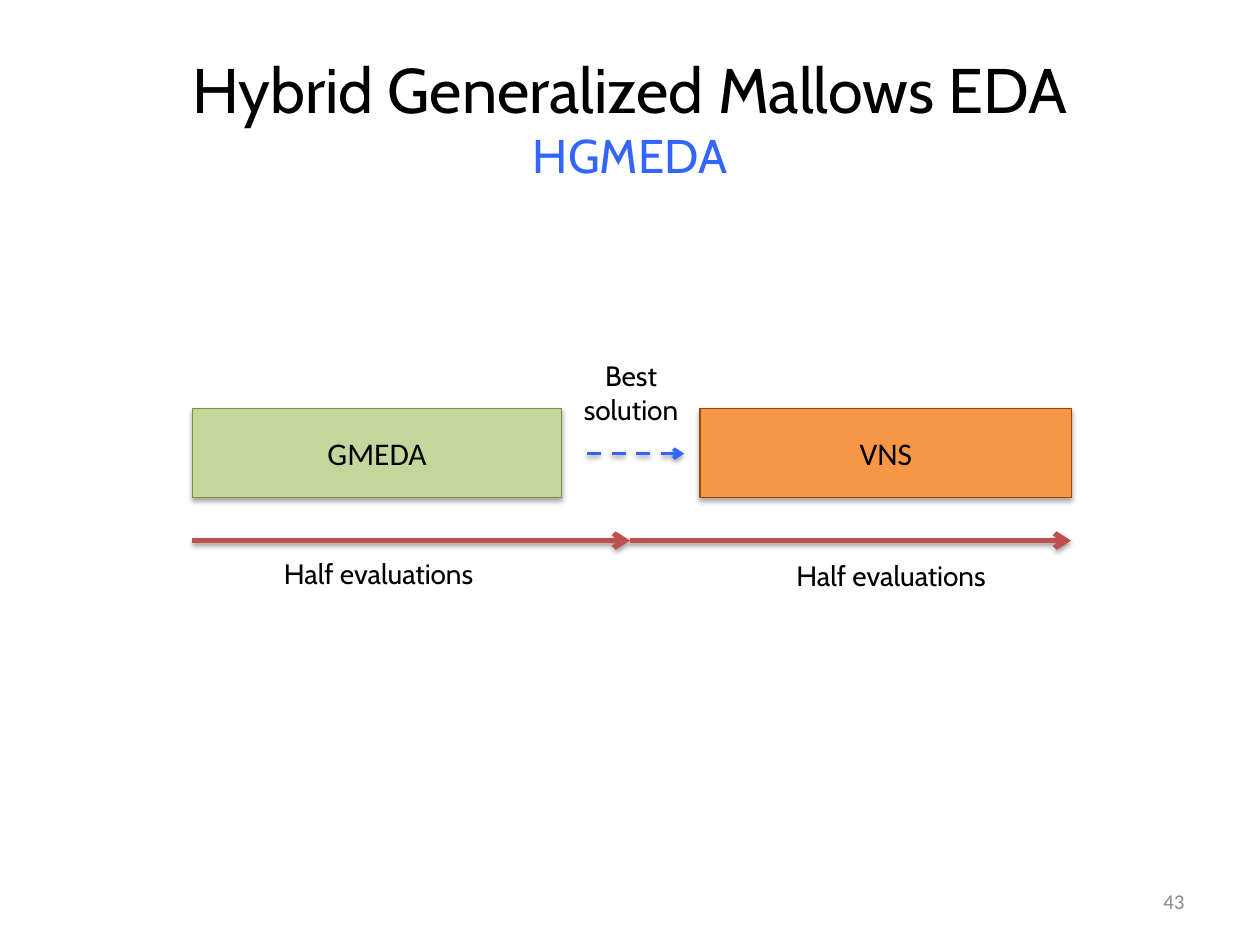
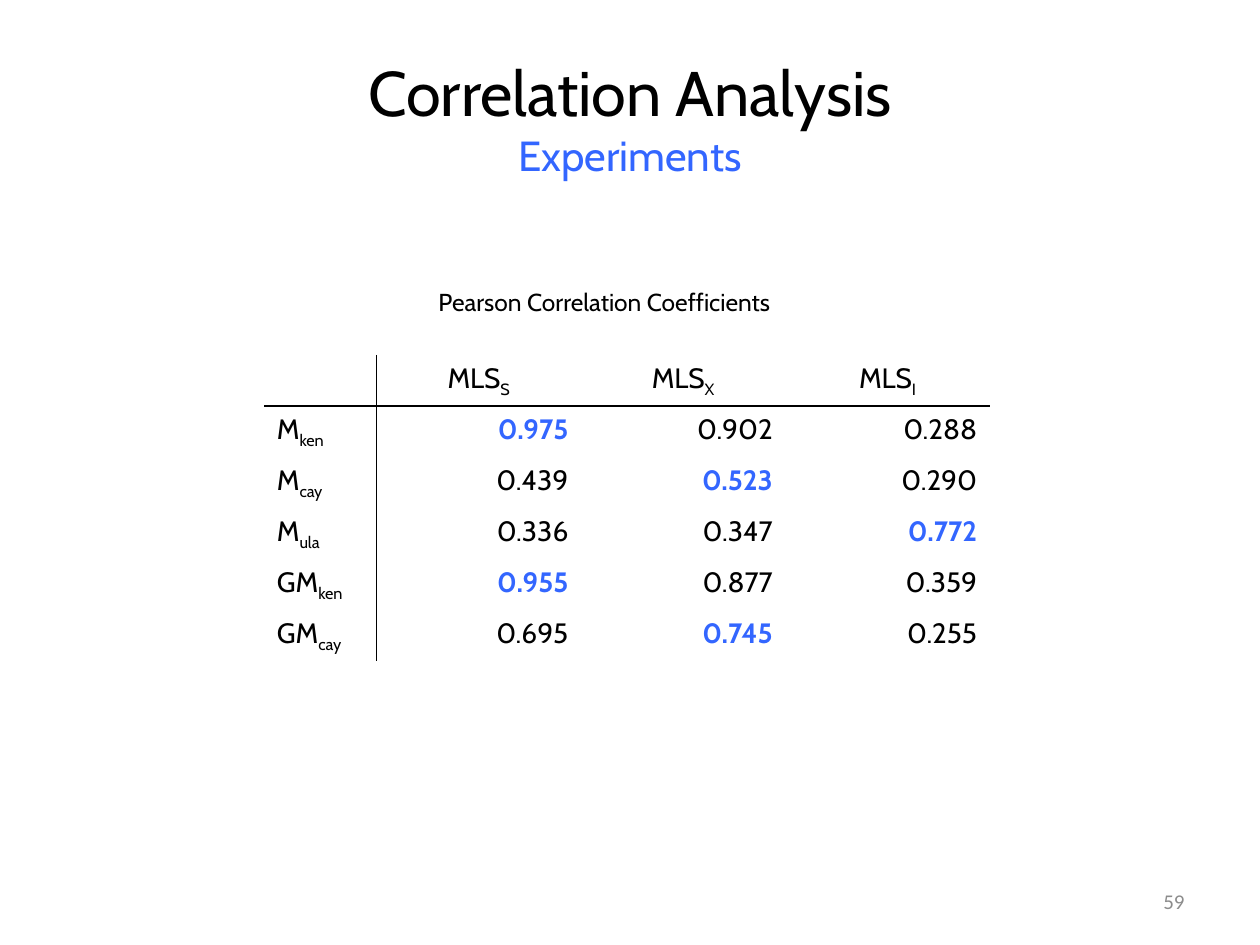
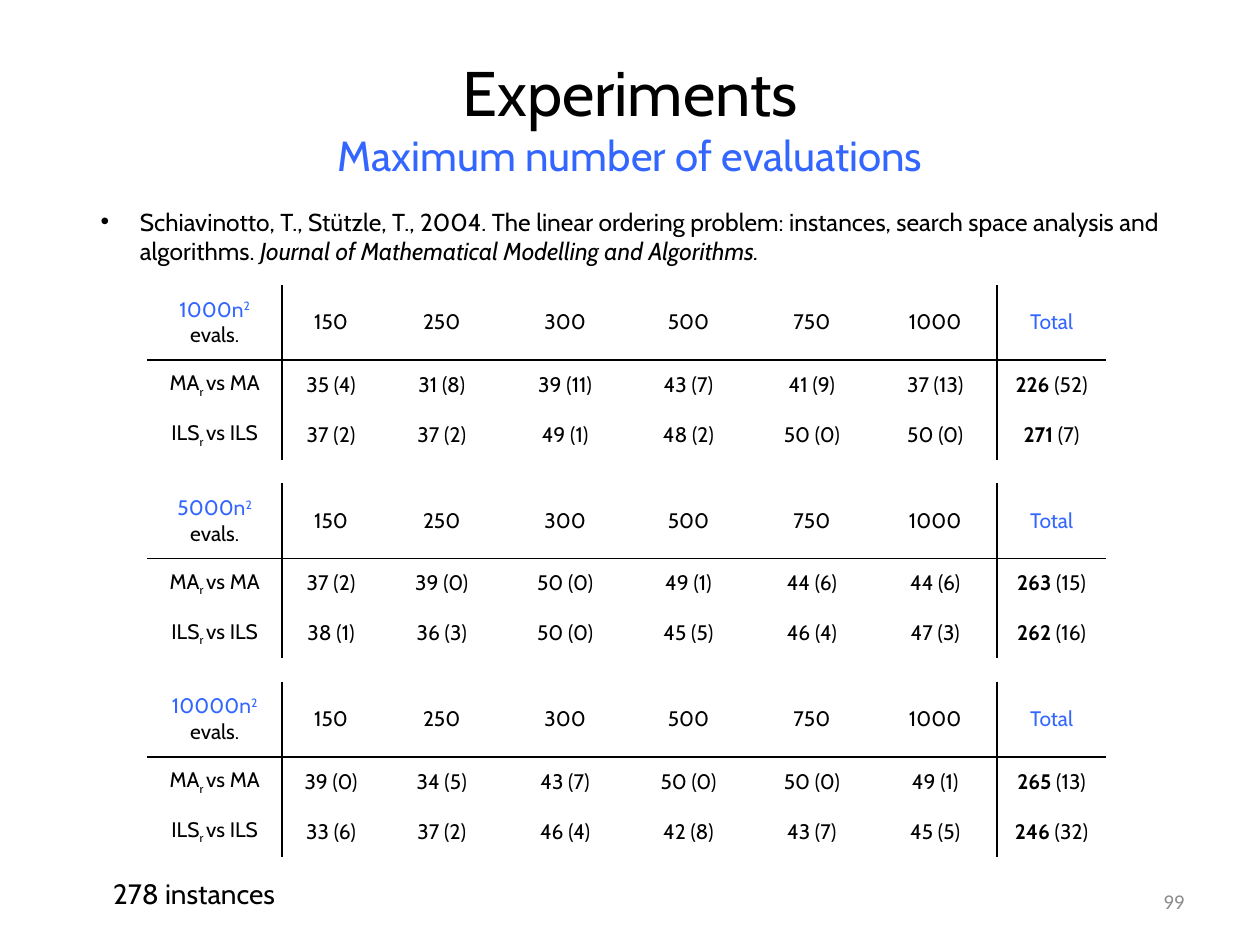
from dataclasses import dataclass

from lxml.etree import SubElement
from pptx import Presentation
from pptx.dml.color import RGBColor
from pptx.enum.dml import MSO_LINE
from pptx.enum.shapes import MSO_CONNECTOR, MSO_SHAPE
from pptx.enum.text import MSO_ANCHOR, PP_ALIGN
from pptx.oxml.ns import qn
from pptx.util import Pt

LEFT, MID, RIGHT = PP_ALIGN.LEFT, PP_ALIGN.CENTER, PP_ALIGN.RIGHT


@dataclass(frozen=True)
class Theme:
    font: str = "Cabin"
    plain: str = "Calibri"
    ink: str = "000000"
    blue: str = "3366FF"
    gray: str = "8C8C8C"
    red: str = "C0504D"
    green: str = "C3D69B"
    moss: str = "77933C"
    orange: str = "F79646"
    brown: str = "984807"
    title: float = 36
    sub: float = 24
    label: float = 18
    body: float = 16
    note: float = 14
    small: float = 12


T = Theme()


def put(par, text, size=T.body, color=T.ink, font=T.font, bold=False, slant=False, base=0):
    run = par.add_run()
    run.text = text
    run.font.size = Pt(size)
    run.font.name = font
    run.font.bold = bold
    run.font.italic = slant
    run.font.color.rgb = RGBColor.from_string(color)
    if base:
        run.font._element.set("baseline", str(base * 1000))


class Deck:
    def __init__(self):
        self.file = Presentation()
        self.file.slide_width, self.file.slide_height = Pt(720), Pt(540)

    def start(self, head, sub, page, size=T.sub):
        self.slide = self.file.slides.add_slide(self.file.slide_layouts[6])
        par = self.box(36, 21.6, 648, 90, MID, MSO_ANCHOR.MIDDLE)
        put(par, head, size=T.title)
        par.add_line_break()
        put(par, sub, size=size, color=T.blue)
        par = self.box(516, 500.5, 168, 28.75, RIGHT, MSO_ANCHOR.MIDDLE)
        put(par, str(page), size=T.small, color=T.gray, font=T.plain)

    def box(self, x, y, w, h, side=LEFT, anchor=MSO_ANCHOR.TOP):
        frame = self.slide.shapes.add_textbox(Pt(x), Pt(y), Pt(w), Pt(h)).text_frame
        frame.word_wrap = True
        frame.vertical_anchor = anchor
        par = frame.paragraphs[0]
        par.alignment = side
        return par

    def shade(self, shape, alpha, drop):
        glow = SubElement(shape.element.spPr, qn("a:effectLst"))
        cast = SubElement(glow, qn("a:outerShdw"), blurRad=str(Pt(3.1)), dist=str(Pt(drop)),
                          dir="5400000", rotWithShape="0")
        tint = SubElement(cast, qn("a:srgbClr"), val=T.ink)
        SubElement(tint, qn("a:alpha"), val=str(alpha * 1000))

    def block(self, x, y, w, h, text, fill, edge):
        shape = self.slide.shapes.add_shape(MSO_SHAPE.RECTANGLE, Pt(x), Pt(y), Pt(w), Pt(h))
        shape.fill.solid()
        shape.fill.fore_color.rgb = RGBColor.from_string(fill)
        shape.line.color.rgb = RGBColor.from_string(edge)
        shape.line.width = Pt(0.75)
        self.shade(shape, 35, 1.8)
        shape.text_frame.vertical_anchor = MSO_ANCHOR.MIDDLE
        par = shape.text_frame.paragraphs[0]
        par.alignment = MID
        put(par, text, size=T.label, font=T.plain)

    def arrow(self, start, end, y, color, width, dash=None):
        link = self.slide.shapes.add_connector(
            MSO_CONNECTOR.STRAIGHT, Pt(start), Pt(y), Pt(end), Pt(y))
        link.line.color.rgb = RGBColor.from_string(color)
        link.line.width = Pt(width)
        if dash:
            link.line.dash_style = dash
        SubElement(link.element.spPr.find(qn("a:ln")), qn("a:tailEnd"), type="arrow")
        self.shade(link, 38, 1.6)

    def rule(self, cell, row, col, bars):
        shown = {"L": col - 1 in bars, "R": col in bars, "T": row == 1, "B": row == 0}
        props = cell._tc.get_or_add_tcPr()
        for edge, on in shown.items():
            line = SubElement(props, qn(f"a:ln{edge}"), w=str(Pt(1)))
            fill = SubElement(line, qn("a:solidFill" if on else "a:noFill"))
            if on:
                SubElement(fill, qn("a:srgbClr"), val=T.ink)

    def table(self, x, y, cols, rows, cells, bars, side, size, pad=7.2, anchor=MSO_ANCHOR.TOP):
        grid = self.slide.shapes.add_table(
            len(rows), len(cols), Pt(x), Pt(y), Pt(sum(cols)), Pt(sum(rows))).table
        grid.first_row = grid.horz_banding = False
        for col, width in zip(grid.columns, cols):
            col.width = Pt(width)
        for row, height in zip(grid.rows, rows):
            row.height = Pt(height)
        for i, line in enumerate(cells):
            for j, runs in enumerate(line):
                cell = grid.cell(i, j)
                cell.margin_left = cell.margin_right = Pt(pad)
                cell.vertical_anchor = anchor
                self.rule(cell, i, j, bars)
                cell.fill.background()
                par = cell.text_frame.paragraphs[0]
                par.alignment = side(i, j)
                for text, form in runs:
                    put(par, text, size=size, **form)


def low(text, tail):
    return [(text, {}), (tail, {"base": -25})]


def hybrid(deck):
    deck.start("Hybrid Generalized Mallows EDA", "HGMEDA", 43, size=27)
    deck.arrow(335.5, 391, 259.2, T.blue, 2, MSO_LINE.DASH)
    put(deck.box(321, 201.6, 79.2, 46, MID), "Best solution")
    deck.block(110, 233.3, 211, 51, "GMEDA", T.green, T.moss)
    deck.block(400, 233.3, 212.4, 51, "VNS", T.orange, T.brown)
    for start, end in ((110, 360), (360, 612)):
        deck.arrow(start, end, 308.9, T.red, 3)
    for x, y, width in ((129.6, 314.6, 173.5), (411, 315.4, 196.5)):
        put(deck.box(x, y, width, 26.6, MID), "Half evaluations")


def scores(deck):
    deck.start("Correlation Analysis", "Experiments", 59)
    put(deck.box(243.4, 160.6, 230.4, 24.5), "Pearson Correlation Coefficients", size=T.note)
    data = (
        ("M", "ken", 0.975, 0.902, 0.288),
        ("M", "cay", 0.439, 0.523, 0.290),
        ("M", "ula", 0.336, 0.347, 0.772),
        ("GM", "ken", 0.955, 0.877, 0.359),
        ("GM", "cay", 0.695, 0.745, 0.255),
    )
    best = {"color": T.blue, "bold": True}
    cells = [[[]] + [low("MLS", kind) for kind in "SXI"]]
    for name, tail, *vals in data:
        cells.append([low(name, tail)] + [
            [(f"{val:.3f}", best if val == max(vals) else {})] for val in vals])
    deck.table(151, 202.8, [64.2] + [116.8] * 3, [29.16] * 6, cells, {0},
               lambda i, j: MID if i == 0 else RIGHT if j else LEFT, T.body)


def limits(deck):
    deck.start("Experiments", "Maximum number of evaluations", 99)
    par = deck.box(50.4, 114.5, 623.5, 41)
    props = par._p.get_or_add_pPr()
    props.set("marL", str(Pt(22.5)))
    props.set("indent", str(-Pt(22.5)))
    SubElement(props, qn("a:buFont"), typeface="Arial")
    SubElement(props, qn("a:buChar"), char="•")
    put(par, "Schiavinotto, T., Stützle, T., 2004. The linear ordering problem: "
        "instances, search space analysis and algorithms. ", size=T.note)
    put(par, "Journal of Mathematical Modelling and Algorithms.", size=T.note, slant=True)

    sizes = {150: 39, 250: 39, 300: 50, 500: 50, 750: 50, 1000: 50}
    count = sum(sizes.values())
    wins = {
        1000: {"MA": (35, 31, 39, 43, 41, 37), "ILS": (37, 37, 49, 48, 50, 50)},
        5000: {"MA": (37, 39, 50, 49, 44, 44), "ILS": (38, 36, 50, 45, 46, 47)},
        10000: {"MA": (39, 34, 43, 50, 50, 49), "ILS": (33, 37, 46, 42, 43, 45)},
    }
    blue = {"color": T.blue}
    for k, (cap, rows) in enumerate(wins.items()):
        head = [(f"{cap}n", blue), ("2 ", {"base": 30, **blue}), ("evals.", {})]
        cells = [[head] + [[(str(size), {})] for size in sizes] + [[("Total", blue)]]]
        for name, won in rows.items():
            total = sum(won)
            cells.append(
                [low(name, "r ") + [(f"vs {name}", {})]]
                + [[(f"{win} ({full - win})", {})] for win, full in zip(won, sizes.values())]
                + [[(str(total), {"bold": True}), (f" ({count - total})", {})]])
        deck.table(84.2, 162.7 + 113.4 * k, [77, 56] + [70.5] * 5 + [62.5], [43, 28.5, 28.5],
                   cells, {0, 6}, lambda i, j: MID, T.small, 8, MSO_ANCHOR.MIDDLE)
    put(deck.box(57.6, 497.5, 112.3, 26.6), f"{count} instances")


def main():
    deck = Deck()
    for build in (hybrid, scores, limits):
        build(deck)
    deck.file.save("out.pptx")


if __name__ == "__main__":
    main()
